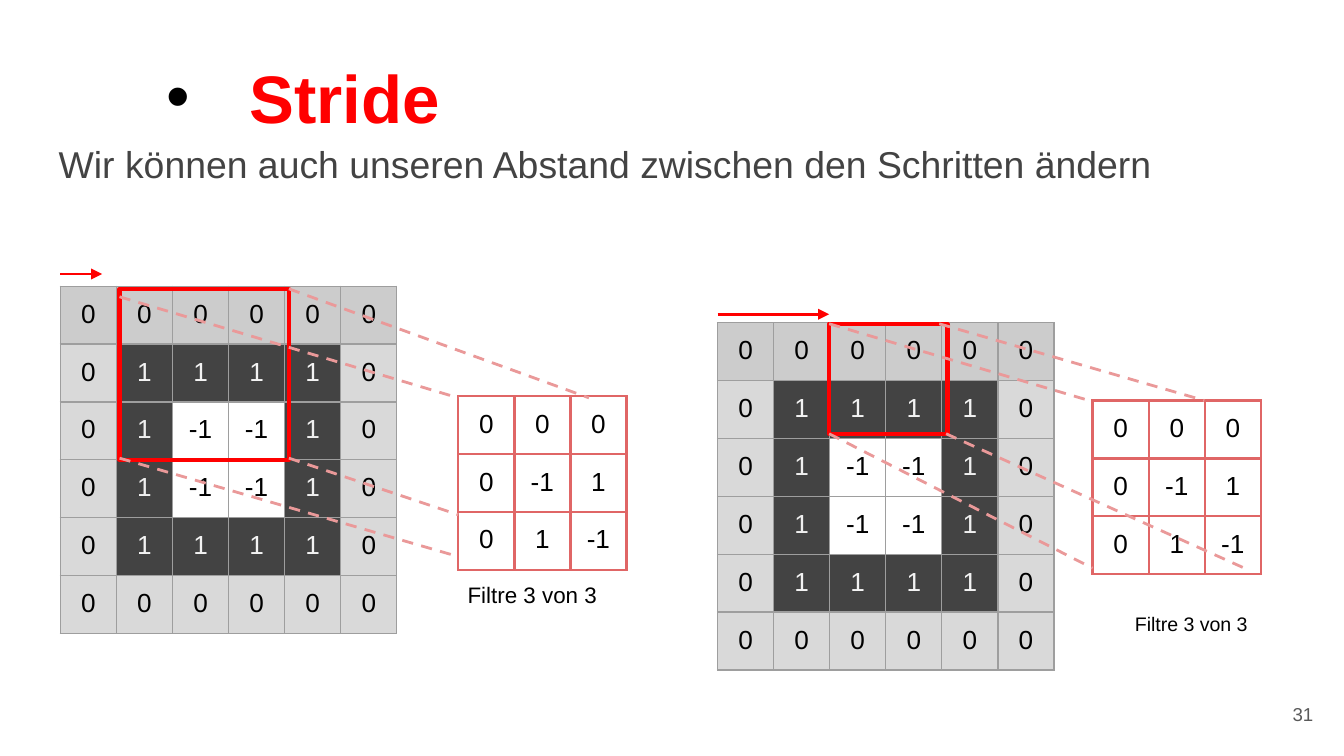
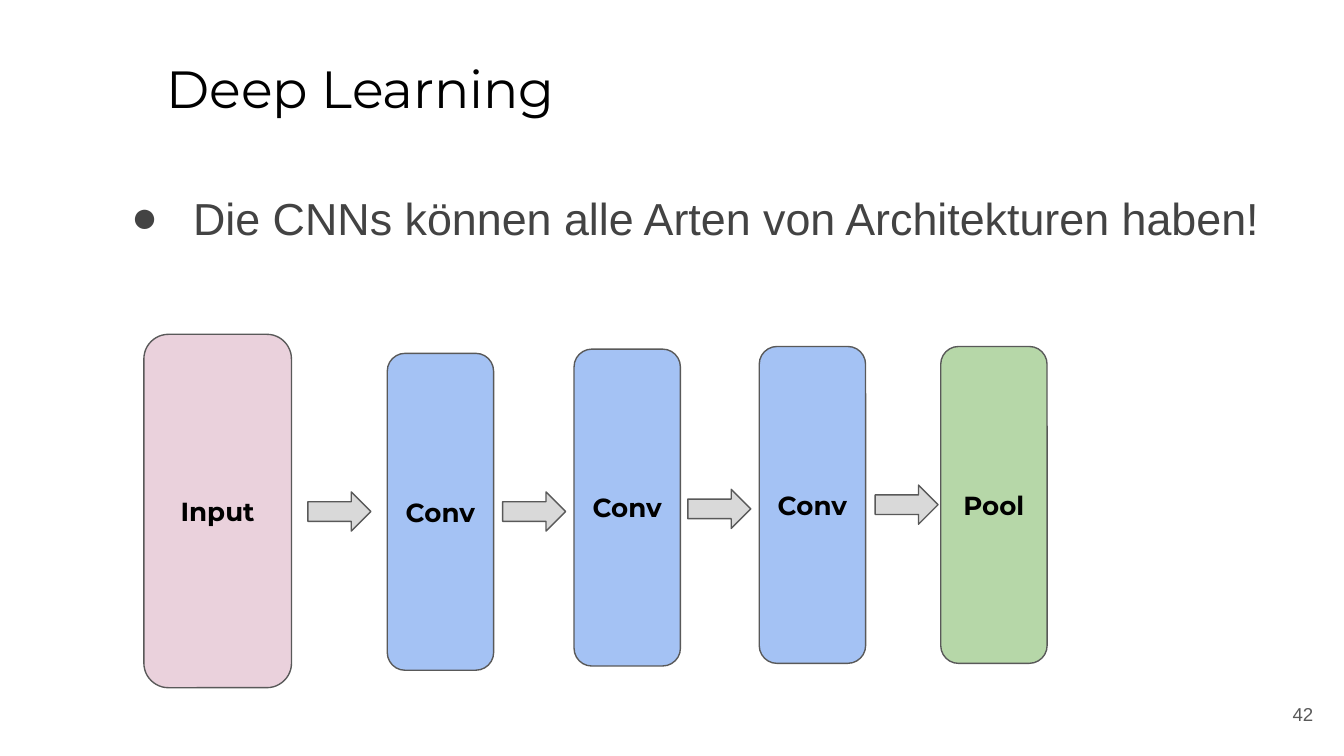
from lxml import etree
from pptx import Presentation
from pptx.dml.color import RGBColor
from pptx.enum.dml import MSO_LINE
from pptx.enum.shapes import MSO_CONNECTOR, MSO_SHAPE
from pptx.enum.text import MSO_ANCHOR, PP_ALIGN
from pptx.oxml import parse_xml
from pptx.oxml.ns import nsdecls, qn
from pptx.util import Cm, Pt

LEFT, CENTER, RIGHT = PP_ALIGN.LEFT, PP_ALIGN.CENTER, PP_ALIGN.RIGHT
TOP, MIDDLE = MSO_ANCHOR.TOP, MSO_ANCHOR.MIDDLE
STRAIGHT, DASH = MSO_CONNECTOR.STRAIGHT, MSO_LINE.DASH
RECTANGLE, ROUNDED, ARROW = MSO_SHAPE.RECTANGLE, MSO_SHAPE.ROUNDED_RECTANGLE, MSO_SHAPE.RIGHT_ARROW

COLORS = {
    "black": "000000", "red": "FF0000", "dark": "434343", "outline": "595959",
    "header": "CCCCCC", "light": "D9D9D9", "pale": "F3F3F3", "soft": "EFEFEF",
    "grid": "9E9E9E", "filter": "E06666", "projection": "EA9999",
    "input": "EAD1DC", "conv": "A4C2F4", "pool": "B6D7A8",
}
RGB = {name: RGBColor.from_string(value) for name, value in COLORS.items()}
TITLE_BOX = (2.9, 0.81, 21.64, 1.6)
NUMBER_BOX = (23.55, 12.95, 1.52, 1.09)
INSET = Cm(0.25)
CELL = Cm(1.06)


def write_text(frame, text, size=14, font="Arial", color="black", bold=False, align=LEFT,
               anchor=TOP, spacing=None, after=None, bullet=None, bullet_color="black",
               indent=0, hanging=0):
    frame.word_wrap = True
    frame.vertical_anchor = anchor
    frame.margin_left = frame.margin_right = frame.margin_top = frame.margin_bottom = INSET
    paragraph = frame.paragraphs[0]
    paragraph.alignment = align
    if spacing:
        paragraph.line_spacing = spacing
    if after:
        paragraph.space_after = Pt(after)
    if bullet:
        properties = paragraph._p.get_or_add_pPr()
        properties.set("marL", str(Cm(indent)))
        properties.set("indent", str(-Cm(hanging)))
        for element in (
            f'<a:buClr {nsdecls("a")}><a:srgbClr val="{COLORS[bullet_color]}"/></a:buClr>',
            f'<a:buFont {nsdecls("a")} typeface="Arial"/>',
            f'<a:buChar {nsdecls("a")} char="{bullet}"/>',
        ):
            properties.append(parse_xml(element))
    run = paragraph.add_run()
    run.text = text
    run.font.size = Pt(size)
    run.font.name = font
    run.font.bold = bold
    run.font.color.rgb = RGB[color]


def draw_line(slide, points, color, arrow=False):
    connector = slide.shapes.add_connector(STRAIGHT, *map(Cm, points))
    connector.line.color.rgb = RGB[color]
    connector.line.width = Pt(1.5)
    if arrow:
        etree.SubElement(connector.line._get_or_add_ln(), qn("a:tailEnd"), type="triangle")
    else:
        connector.line.dash_style = DASH
    etree.SubElement(connector._element.spPr, qn("a:effectLst"))


presentation = Presentation()
presentation.slide_width = Cm(25.4)
presentation.slide_height = Cm(14.29)
slides = []
for number in ("31", "42"):
    slide = presentation.slides.add_slide(presentation.slide_layouts[6])
    number_box = slide.shapes.add_textbox(*map(Cm, NUMBER_BOX))
    write_text(number_box.text_frame, number, size=10, color="outline", align=RIGHT, anchor=MIDDLE)
    slides.append(slide)
stride_slide, architecture_slide = slides

title = stride_slide.shapes.add_textbox(*map(Cm, TITLE_BOX))
write_text(title.text_frame, "Stride", size=36, color="red", bold=True,
           bullet="•", indent=1.57, hanging=1.57)
body = stride_slide.shapes.add_textbox(Cm(0.86), Cm(2.29), Cm(23.67), Cm(1.73))
write_text(body.text_frame, "Wir können auch unseren Abstand zwischen den Schritten ändern",
           size=20, color="dark", spacing=1.15, after=16)

EDGE, FULL, RING = [0] * 6, [0, 1, 1, 1, 1, 0], [0, 1, -1, -1, 1, 0]
IMAGE = [EDGE, FULL, RING, RING, FULL, EDGE]
FILTER = [[0, 0, 0], [0, -1, 1], [0, 1, -1]]

panels = [
    {
        "image": (1.14, 5.41), "filter": (8.66, 7.49), "window": (2.26, 5.46, 3.2, 3.23),
        "caption": (8.46, 10.74, 3.2, 1.02), "caption_size": 12,
        "step": (1.14, 5.18, 1.93, 5.18),
        "projections": [(5.46, 5.46, 11.13, 7.52), (2.26, 5.61, 8.66, 7.52),
                        (2.26, 8.66, 8.66, 10.52), (5.46, 8.66, 8.66, 9.73)],
    },
    {
        "image": (13.56, 6.1), "filter": (20.65, 7.57), "window": (15.67, 6.12, 2.24, 2.08),
        "caption": (21.18, 11.35, 2.67, 0.94), "caption_size": 10.5,
        "step": (13.56, 5.94, 15.67, 5.94),
        "projections": [(17.75, 6.12, 22.76, 7.57), (15.67, 6.12, 20.65, 7.59),
                        (15.67, 8.2, 20.65, 10.74), (17.88, 8.2, 23.52, 10.74)],
    },
]

for panel in panels:
    for name, values, border, width in (("image", IMAGE, "grid", 0.75),
                                        ("filter", FILTER, "filter", 1.5)):
        count = len(values)
        left, top = map(Cm, panel[name])
        table = stride_slide.shapes.add_table(
            count, count, left, top, CELL * count, CELL * count).table
        table.first_row = table.horz_banding = False
        for index in range(count):
            table.columns[index].width = table.rows[index].height = CELL
        for row, row_values in enumerate(values):
            for column, value in enumerate(row_values):
                cell = table.cell(row, column)
                cell.margin_left = cell.margin_right = INSET
                cell.margin_top = cell.margin_bottom = INSET
                fill, color = None, "black"
                if name == "image" and value == 0:
                    fill = "header" if row == 0 else "light"
                elif name == "image" and value == 1:
                    fill, color = "dark", "pale" if row_values is FULL else "soft"
                write_text(cell.text_frame, str(value), color=color, align=CENTER)
                if fill:
                    cell.fill.solid()
                    cell.fill.fore_color.rgb = RGB[fill]
                else:
                    cell.fill.background()
                properties = cell._tc.get_or_add_tcPr()
                for position, side in enumerate("LRTB"):
                    properties.insert(position, parse_xml(
                        f'<a:ln{side} {nsdecls("a")} w="{Pt(width)}"><a:solidFill>'
                        f'<a:srgbClr val="{COLORS[border]}"/></a:solidFill></a:ln{side}>'))

    window = stride_slide.shapes.add_shape(RECTANGLE, *map(Cm, panel["window"]))
    window.shadow.inherit = False
    window.fill.background()
    window.line.color.rgb = RGB["red"]
    window.line.width = Pt(2.25)
    caption = stride_slide.shapes.add_textbox(*map(Cm, panel["caption"]))
    write_text(caption.text_frame, "Filtre 3 von 3", size=panel["caption_size"], align=CENTER)
    for points in panel["projections"]:
        draw_line(stride_slide, points, "projection")
    draw_line(stride_slide, panel["step"], "red", arrow=True)

title = architecture_slide.shapes.add_textbox(*map(Cm, TITLE_BOX))
write_text(title.text_frame, "Deep Learning", size=28, font="Montserrat")
body = architecture_slide.shapes.add_textbox(Cm(0.86), Cm(3.2), Cm(23.67), Cm(9.5))
write_text(body.text_frame, "Die CNNs können alle Arten von Architekturen haben!", size=24,
           color="dark", spacing=1.15, bullet="●", bullet_color="dark", indent=2.54, hanging=1.17)

LAYER, FLOW = (2.01, 5.99), (1.19, 0.74)
blocks = [
    (ROUNDED, "Input", "input", (2.72, 6.32), (2.79, 6.68)),
    (ROUNDED, "Conv", "conv", (7.32, 6.68), LAYER),
    (ROUNDED, "Conv", "conv", (10.85, 6.6), LAYER),
    (ROUNDED, "Conv", "conv", (14.35, 6.55), LAYER),
    (ROUNDED, "Pool", "pool", (17.78, 6.55), LAYER),
    (ARROW, "", "light", (5.82, 9.3), FLOW),
    (ARROW, "", "light", (9.5, 9.3), FLOW),
    (ARROW, "", "light", (13, 9.25), FLOW),
    (ARROW, "", "light", (16.54, 9.17), FLOW),
]
for kind, label, fill, corner, size in blocks:
    shape = architecture_slide.shapes.add_shape(kind, *map(Cm, corner + size))
    shape.shadow.inherit = False
    shape.fill.solid()
    shape.fill.fore_color.rgb = RGB[fill]
    shape.line.color.rgb = RGB["outline"]
    shape.line.width = Pt(0.75)
    if label:
        write_text(shape.text_frame, label, font="Montserrat", bold=True,
                   align=CENTER, anchor=MIDDLE)

presentation.save("out.pptx")
